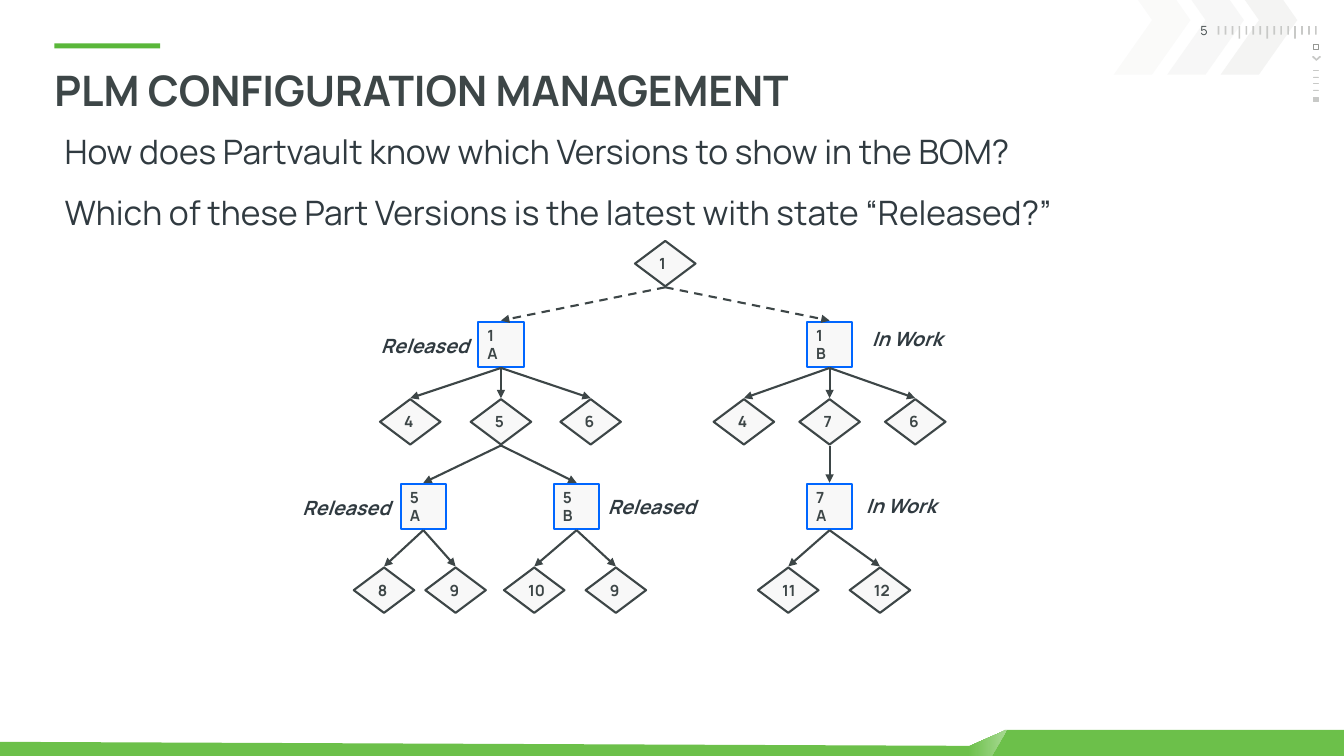
"""Builds the configuration management slide with its version tree."""
import pptx
import pptx.util
import pptx.dml.color
import pptx.enum.dml
import pptx.enum.shapes
import pptx.enum.text
import pptx.oxml
import pptx.oxml.ns

RGBColor = pptx.dml.color.RGBColor
ACCENT = RGBColor(0x5A, 0xB7, 0x3A)
FOOTER = RGBColor(0x6C, 0xC0, 0x4A)
FOLD = RGBColor(0xA7, 0xD9, 0x92)
INK = RGBColor(0x3D, 0x46, 0x47)
BODY = RGBColor(0x30, 0x3A, 0x40)
PALE = RGBColor(0xF8, 0xF8, 0xF8)
BLUE = RGBColor(0x00, 0x66, 0xFF)
SILVER = RGBColor(0xC8, 0xC9, 0xC7)
GREY = RGBColor(0x96, 0x98, 0x94)

COLUMNS, ROWS = 133.33, 75
WIDTH, HEIGHT = pptx.util.Inches(13.33), pptx.util.Inches(7.5)
SHAPES = pptx.enum.shapes.MSO_SHAPE
ANCHORS = pptx.enum.text.MSO_ANCHOR
ALIGN = pptx.enum.text.PP_ALIGN

NODE_HEIGHT = 4.5
LEVEL_TOPS = [23.9, 31.9, 39.6, 48, 56.3]
VERSION_TREE = (66, "1", [
    (49.7, "1\nA", [
        (40.7, "4", []),
        (49.7, "5", [
            (42, "5\nA", [(38.1, "8", []), (45.2, "9", [])]),
            (57.2, "5\nB", [(53, "10", []), (61.1, "9", [])]),
        ]),
        (58.6, "6", []),
    ]),
    (82.3, "1\nB", [
        (73.8, "4", []),
        (82.3, "7", [
            (82.3, "7\nA", [(78.2, "11", []), (87.3, "12", [])]),
        ]),
        (90.8, "6", []),
    ]),
])
STATES = [
    ("In Work", 85.6, 31.9, 9.2), ("Released", 36.9, 32.6, 10.6),
    ("Released", 29.1, 48.7, 10.6), ("Released", 59.4, 48.6, 10.6),
    ("In Work", 85, 48.5, 9.2),
]


class SlideBuilder:
    def __init__(self, slide, font="Manrope"):
        self.slide = slide
        self.font = font

    def x(self, columns):
        return round(WIDTH * columns / COLUMNS)

    def y(self, rows):
        return round(HEIGHT * rows / ROWS)

    def area(self, left, top, width, height):
        return self.x(left), self.y(top), self.x(width), self.y(height)

    def paint(self, shape, fill=None, line=None, weight=0.5, alpha=None):
        shape.shadow.inherit = False
        if fill is None:
            shape.fill.background()
        else:
            shape.fill.solid()
            shape.fill.fore_color.rgb = fill
        if alpha is not None:
            tint = shape._element.spPr.find(".//" + pptx.oxml.ns.qn("a:srgbClr"))
            tint.append(pptx.oxml.parse_xml(
                f'<a:alpha {pptx.oxml.ns.nsdecls("a")} val="{alpha * 1000}"/>'))
        if line is None:
            shape.line.fill.background()
        else:
            shape.line.color.rgb = line
            shape.line.width = pptx.util.Pt(weight)
        return shape

    def shape(self, kind, box, **style):
        return self.paint(self.slide.shapes.add_shape(kind, *self.area(*box)), **style)

    def outline(self, points, **style):
        corners = [(self.x(column), self.y(row)) for column, row in points]
        builder = self.slide.shapes.build_freeform(*corners[0])
        builder.add_line_segments(corners[1:], close=True)
        return self.paint(builder.convert_to_shape(), **style)

    def set_text(self, frame, text, size, color, bold=False, italic=False, wrap=True,
                 insets=(0.9, 0.5), align=ALIGN.LEFT, anchor=ANCHORS.TOP,
                 spacing=None, before=None):
        frame.word_wrap = wrap
        frame.vertical_anchor = anchor
        frame.margin_left = frame.margin_right = self.x(insets[0])
        frame.margin_top = frame.margin_bottom = self.y(insets[1])
        for index, words in enumerate(text.split("\n")):
            paragraph = frame.add_paragraph() if index else frame.paragraphs[0]
            paragraph.text = words
            paragraph.alignment = align
            if spacing is not None:
                paragraph.line_spacing = spacing
            if before is not None:
                paragraph.space_before = pptx.util.Pt(before)
            paragraph.font.name = self.font
            paragraph.font.size = pptx.util.Pt(size)
            paragraph.font.color.rgb = color
            paragraph.font.bold = bold
            paragraph.font.italic = italic

    def text(self, text, box, size, color, **style):
        label = self.slide.shapes.add_textbox(*self.area(*box))
        self.set_text(label.text_frame, text, size, color, **style)

    def arrow(self, start, end, dashed):
        link = self.slide.shapes.add_connector(
            pptx.enum.shapes.MSO_CONNECTOR.STRAIGHT,
            self.x(start[0]), self.y(start[1]), self.x(end[0]), self.y(end[1]))
        link.line.color.rgb = INK
        link.line.width = pptx.util.Pt(1.5)
        if dashed:
            link.line.dash_style = pptx.enum.dml.MSO_LINE.DASH
        namespace = pptx.oxml.ns.nsdecls("a")
        properties = link._element.spPr
        properties.find(pptx.oxml.ns.qn("a:ln")).append(
            pptx.oxml.parse_xml(f'<a:tailEnd {namespace} type="triangle"/>'))
        properties.append(pptx.oxml.parse_xml(f"<a:effectLst {namespace}/>"))

    def tree(self, node, level=0):
        center, label, children = node
        is_version = level % 2 == 1
        width = 4.5 if is_version else 6
        top = LEVEL_TOPS[level]
        part = self.shape(
            SHAPES.RECTANGLE if is_version else SHAPES.FLOWCHART_DECISION,
            (center - width / 2, top, width, NODE_HEIGHT),
            fill=PALE, line=BLUE if is_version else INK, weight=1.5)
        self.set_text(part.text_frame, label, 11, INK, bold=True, wrap=False,
                      anchor=ANCHORS.MIDDLE)
        for child in children:
            self.tree(child, level + 1)
            self.arrow((center, top + NODE_HEIGHT + 0.1),
                       (child[0], LEVEL_TOPS[level + 1] - 0.1), dashed=level == 0)


def draw_corner(page):
    for index, alpha in enumerate((9, 14, 20)):
        left = 110.5 + 5.3 * index
        chevron = [(2.4, 0), (6.2, 0), (7.6, 2), (3.8, 7.4), (0, 7.4), (3.8, 2)]
        page.outline([(left + column, row) for column, row in chevron],
                     fill=SILVER, alpha=alpha)
    for tick in range(15):
        height = 1.25 if tick % 4 == 3 else 0.85
        page.shape(SHAPES.RECTANGLE, (120.8 + 0.69 * tick, 2.6, 0.17, height), fill=SILVER)
    page.shape(SHAPES.RECTANGLE, (130.3, 4.4, 0.5, 0.5), line=GREY, weight=0.25)
    page.outline([(130.6, 6), (131, 5.65), (130.9, 5.6), (130.6, 5.9),
                  (130.3, 5.6), (130.2, 5.65)], fill=SILVER, line=SILVER)
    for dash in range(4):
        page.shape(SHAPES.RECTANGLE, (130.3, 7 + 0.64 * dash, 0.5, 0.03),
                   fill=SILVER, line=SILVER)
    page.shape(SHAPES.RECTANGLE, (130.3, 9.7, 0.5, 0.4), fill=SILVER, line=SILVER)
    page.text("5", (113.3, 2.3, 6.5, 1.5), 9, INK, insets=(0, 0), align=ALIGN.RIGHT)


def draw_footer(page):
    page.outline([(99.7, 72.4), (COLUMNS, 72.4), (COLUMNS, ROWS), (0, ROWS),
                  (0, 73.6), (97, 74)], fill=FOOTER)
    fold = page.outline([(99.9, 72.4), (98.4, ROWS), (93.9, ROWS)], fill=FOOTER)
    fold.fill.gradient()
    fold.fill.gradient_angle = 0
    for stop, position, color in zip(fold.fill.gradient_stops, (0.35, 1), (FOOTER, FOLD)):
        stop.position = position
        stop.color.rgb = color


def main():
    deck = pptx.Presentation()
    deck.slide_width, deck.slide_height = WIDTH, HEIGHT
    page = SlideBuilder(deck.slides.add_slide(deck.slide_layouts[6]))
    page.shape(SHAPES.RECTANGLE, (5.4, 4.3, 10.5, 0.5), fill=ACCENT)
    draw_corner(page)
    draw_footer(page)
    page.text("How does Partvault know which Versions to show in the BOM?\n"
              "Which of these Part Versions is the latest with state “Released?”",
              (5.4, 12.9, 118, 55.8), 24, BODY, insets=(1, 0.5), spacing=0.9, before=18)
    page.text("PLM CONFIGURATION MANAGEMENT", (5.4, 7.4, 118, 4), 30, INK,
              bold=True, insets=(0, 0), spacing=0.8)
    page.tree(VERSION_TREE)
    for state, left, top, width in STATES:
        page.text(state, (left, top, width, 3.3), 14, BODY,
                  bold=True, italic=True, wrap=False)
    deck.save("out.pptx")


if __name__ == "__main__":
    main()
